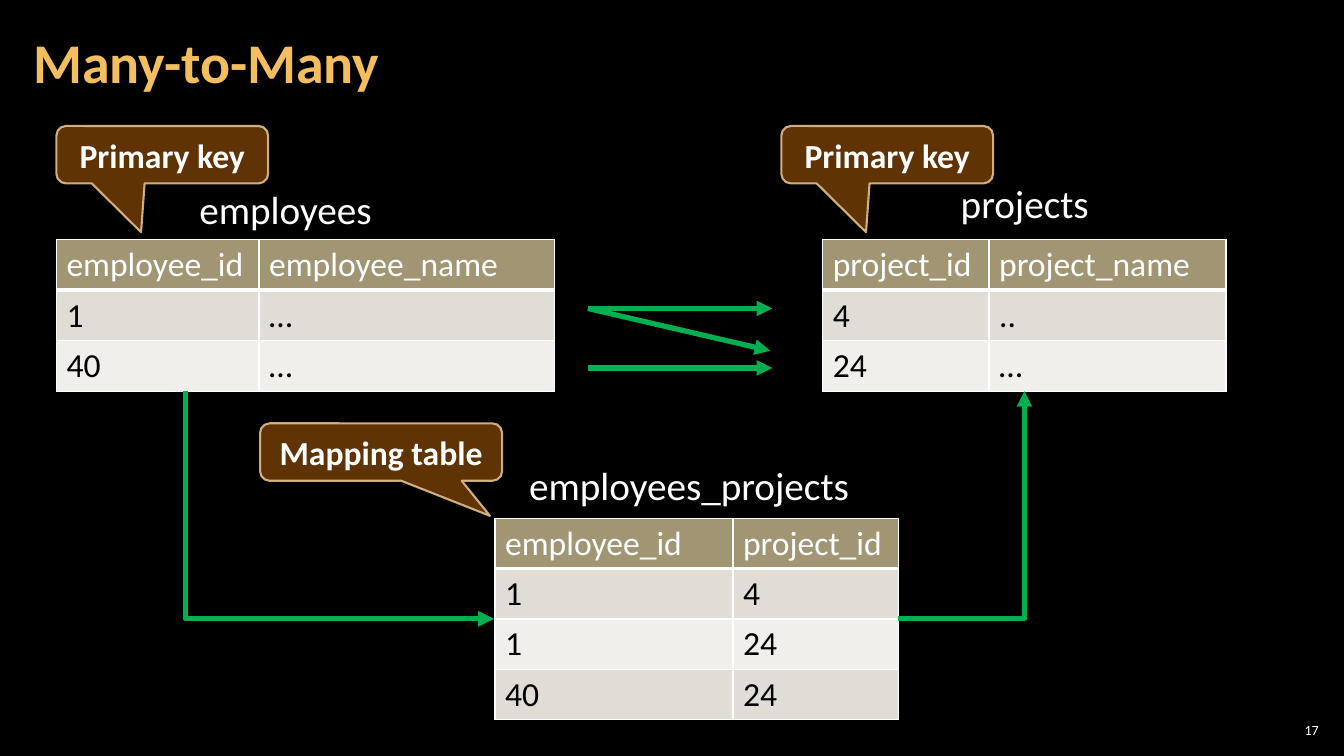
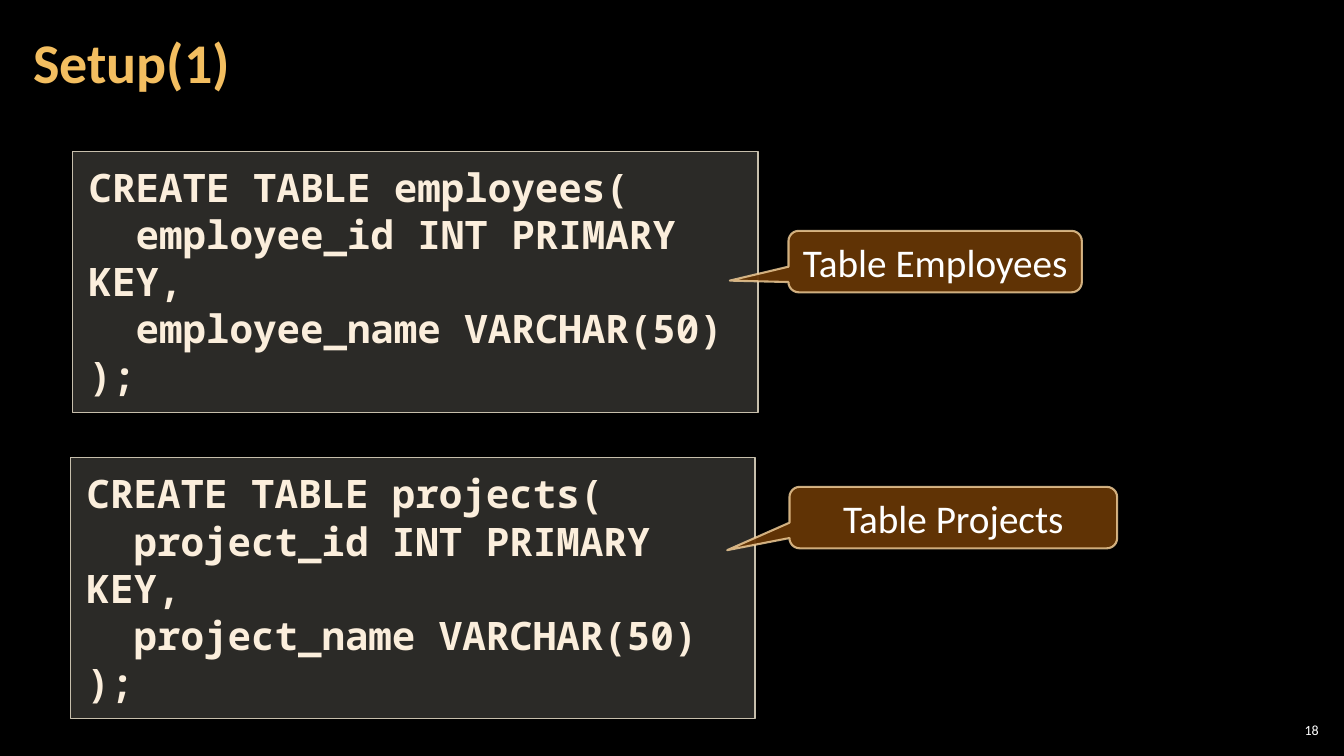
"""Build two slides on many-to-many relations between SQL tables."""
from dataclasses import dataclass

from lxml import etree
from pptx import Presentation
from pptx.dml.color import RGBColor
from pptx.enum.shapes import MSO_CONNECTOR, MSO_SHAPE
from pptx.enum.text import MSO_ANCHOR, PP_ALIGN
from pptx.oxml.ns import qn
from pptx.util import Inches, Pt

LEFT, CENTER, RIGHT = PP_ALIGN.LEFT, PP_ALIGN.CENTER, PP_ALIGN.RIGHT
TOP, MIDDLE = MSO_ANCHOR.TOP, MSO_ANCHOR.MIDDLE
STRAIGHT, ELBOW = MSO_CONNECTOR.STRAIGHT, MSO_CONNECTOR.ELBOW
RECTANGLE = MSO_SHAPE.RECTANGLE
CALLOUT = MSO_SHAPE.ROUNDED_RECTANGULAR_CALLOUT
BLANK_LAYOUT = 6


@dataclass(frozen=True)
class Theme:
    """Hold the colours, fonts and type sizes of the deck."""
    background: str = "000000"
    title: str = "F3BE60"
    text: str = "FFFFFF"
    arrow: str = "00B050"
    callout_fill: str = "663606"
    callout_line: str = "F8D49E"
    code_fill: str = "D9D5C7"
    code_line: str = "C7BFAC"
    code_text: str = "FBEEDC"
    header_fill: str = "A19574"
    row_fills: tuple = ("E0DDD6", "F0EFEB")
    cell_text: str = "000000"
    border: str = "FFFFFF"
    font: str = "Calibri"
    code_font: str = "Noto Sans Mono"
    title_size: int = 40
    large_size: int = 28
    medium_size: int = 24
    number_size: int = 10


THEME = Theme()
ROW_HEIGHT = 0.5


def set_attributes(target, formats):
    """Set each named format value on the target."""
    for name, value in formats.items():
        setattr(target, name, value)


def rgb(color):
    """Turn a hex string into a colour."""
    return RGBColor.from_string(color)


def paint(fill, color, alpha=100):
    """Give a fill one solid colour, with opacity in percent."""
    fill.solid()
    fill.fore_color.rgb = rgb(color)
    if alpha < 100:
        color_element = fill._xPr.find(qn("a:solidFill"))[0]
        etree.SubElement(color_element, qn("a:alpha"), val=str(alpha * 1000))


def write(frame, text, size, color=THEME.text, font=THEME.font, bold=False,
          align=LEFT, spacing=1.0):
    """Write text into a frame, one paragraph a line."""
    frame.text = text
    for paragraph in frame.paragraphs:
        set_attributes(paragraph, {"alignment": align, "line_spacing": spacing})
        for run in paragraph.runs:
            set_attributes(run.font, {"name": font, "size": Pt(size), "bold": bold})
            run.font.color.rgb = rgb(color)


def set_frame(frame, anchor, across=0.1, down=0.05, wrap=True):
    """Set the anchor, wrapping and insets of a text frame."""
    set_attributes(frame, {
        "word_wrap": wrap, "vertical_anchor": anchor,
        "margin_left": Inches(across), "margin_right": Inches(across),
        "margin_top": Inches(down), "margin_bottom": Inches(down)})


def add_text(slide, box, text, size, frame, **style):
    """Add a text box."""
    label = slide.shapes.add_textbox(*map(Inches, box))
    set_frame(label.text_frame, **frame)
    write(label.text_frame, text, size, **style)


def add_slide(deck, title, number):
    """Add a slide with its title and number."""
    slide = deck.slides.add_slide(deck.slide_layouts[BLANK_LAYOUT])
    add_text(slide, (0.21, 0.04, 10.47, 1.21), title, THEME.title_size,
             {"anchor": MIDDLE, "across": 0.12, "down": 0.04},
             color=THEME.title, bold=True, spacing=0.9)
    add_text(slide, (12.65, 7.14, 0.47, 0.21), str(number), THEME.number_size,
             {"anchor": MIDDLE, "across": 0.04, "down": 0.04}, align=RIGHT)
    return slide


def add_panel(slide, preset, box, fill, line, width):
    """Add a filled and outlined shape; fill and line are colour and opacity."""
    panel = slide.shapes.add_shape(preset, *map(Inches, box))
    panel.shadow.inherit = False
    paint(panel.fill, *fill)
    paint(panel.line.fill, *line)
    panel.line.width = Pt(width)
    return panel


def add_callout(slide, box, text, pointer, size, bold=False):
    """Add a rounded callout whose pointer is relative to its centre."""
    callout = add_panel(slide, CALLOUT, box, (THEME.callout_fill, 95),
                        (THEME.callout_line, 80), 1.5)
    for index, value in enumerate((*pointer, 0.167)):
        callout.adjustments[index] = value
    set_frame(callout.text_frame, MIDDLE)
    write(callout.text_frame, text, size, bold=bold, align=CENTER)


def add_code(slide, box, code):
    """Add a panel of code."""
    panel = add_panel(slide, RECTANGLE, box, (THEME.code_fill, 20),
                      (THEME.code_line,), 1)
    set_frame(panel.text_frame, TOP, 0.16, 0.12)
    write(panel.text_frame, code, THEME.large_size, color=THEME.code_text,
          font=THEME.code_font, bold=True)


def add_arrow(slide, start, end, kind=STRAIGHT, arrow_at="tailEnd"):
    """Add an arrow; an elbow leaves its start horizontally and turns once."""
    arrow = slide.shapes.add_connector(kind, *map(Inches, (*start, *end)))
    paint(arrow.line.fill, THEME.arrow)
    arrow.line.width = Pt(3.75)
    etree.SubElement(arrow.line._get_or_add_ln(), qn(f"a:{arrow_at}"), type="triangle")
    properties = arrow._element.spPr
    etree.SubElement(properties, qn("a:effectLst"))
    if kind == ELBOW:
        properties.find(qn("a:prstGeom")).set("prst", "bentConnector2")


def add_borders(cell, bottom):
    """Draw the four borders of a cell, with the bottom width in points."""
    properties = cell._tc.get_or_add_tcPr()
    for index, (side, width) in enumerate(
            (("lnL", 1), ("lnR", 1), ("lnT", 1), ("lnB", bottom))):
        line = etree.Element(qn(f"a:{side}"), w=str(Pt(width)))
        solid = etree.SubElement(line, qn("a:solidFill"))
        etree.SubElement(solid, qn("a:srgbClr"), val=THEME.border)
        properties.insert(index, line)


def add_data_table(slide, left, top, widths, rows):
    """Add a table with a header row and banded data rows."""
    table = slide.shapes.add_table(
        len(rows), len(widths), Inches(left), Inches(top),
        Inches(sum(widths)), Inches(ROW_HEIGHT * len(rows))).table
    for column, width in zip(table.columns, widths):
        column.width = Inches(width)
    for index, values in enumerate(rows):
        header = index == 0
        fill = THEME.header_fill if header else THEME.row_fills[(index - 1) % 2]
        color = THEME.text if header else THEME.cell_text
        for cell, value in zip(table.rows[index].cells, values):
            paint(cell.fill, fill)
            add_borders(cell, 3 if header else 1)
            write(cell.text_frame, value, THEME.medium_size, color=color)


def build_many_to_many(deck):
    """Build the slide that joins two tables through a mapping table."""
    slide = add_slide(deck, "Many-to-Many", 17)
    for left, top, widths, rows in (
            (0.56, 2.38, (2.01, 2.93),
             (("employee_id", "employee_name"), ("1", "…"), ("40", "…"))),
            (8.16, 2.38, (1.65, 2.35),
             (("project_id", "project_name"), ("4", ".."), ("24", "…"))),
            (4.91, 5.14, (2.36, 1.64),
             (("employee_id", "project_id"), ("1", "4"), ("1", "24"), ("40", "24")))):
        add_data_table(slide, left, top, widths, rows)
    for left, top, width, name in (
            (1.88, 1.79, 1.93, "employees"),
            (9.43, 1.73, 1.49, "projects"),
            (5.15, 4.53, 3.41, "employees_projects")):
        add_text(slide, (left, top, width, 0.57), name, THEME.large_size,
                 {"anchor": TOP, "wrap": False})
    for start, end in (((5.83, 3.06), (7.66, 3.06)),
                       ((5.83, 3.65), (7.66, 3.65)),
                       ((5.83, 3.06), (7.64, 3.48))):
        add_arrow(slide, start, end)
    add_arrow(slide, (4.9, 6.14), (1.84, 3.88), ELBOW, "headEnd")
    add_arrow(slide, (8.91, 6.14), (10.16, 3.88), ELBOW)
    for left, top, width, text, pointer in (
            (0.56, 1.25, 2.1, "Primary key", (-0.1, 1.35)),
            (7.75, 1.25, 2.1, "Primary key", (-0.1, 1.35)),
            (2.58, 4.2, 2.4, "Mapping table", (0.45, 1.11))):
        add_callout(slide, (left, top, width, 0.57), text, pointer,
                    THEME.medium_size, bold=True)


def build_setup(deck):
    """Build the slide with the code that creates both tables."""
    slide = add_slide(deck, "Setup(1)", 18)
    for entity, code_box, label, label_box, pointer in (
            ("employee", (0.72, 1.5, 6.8, 2.59),
             "Table Employees", (7.82, 2.29, 2.91, 0.61), (-0.7, 0.31)),
            ("project", (0.7, 4.54, 6.79, 2.59),
             "Table Projects", (7.83, 4.83, 3.25, 0.61), (-0.69, 0.53))):
        add_code(slide, code_box,
                 f"CREATE TABLE {entity}s(\n"
                 f"  {entity}_id INT PRIMARY KEY,\n"
                 f"  {entity}_name VARCHAR(50)\n"
                 ");")
        add_callout(slide, label_box, label, pointer, THEME.large_size)


def main():
    """Build and save the deck."""
    deck = Presentation()
    set_attributes(deck, {"slide_width": Inches(13.33), "slide_height": Inches(7.5)})
    paint(deck.slide_master.background.fill, THEME.background)
    build_many_to_many(deck)
    build_setup(deck)
    deck.save("out.pptx")


if __name__ == "__main__":
    main()
